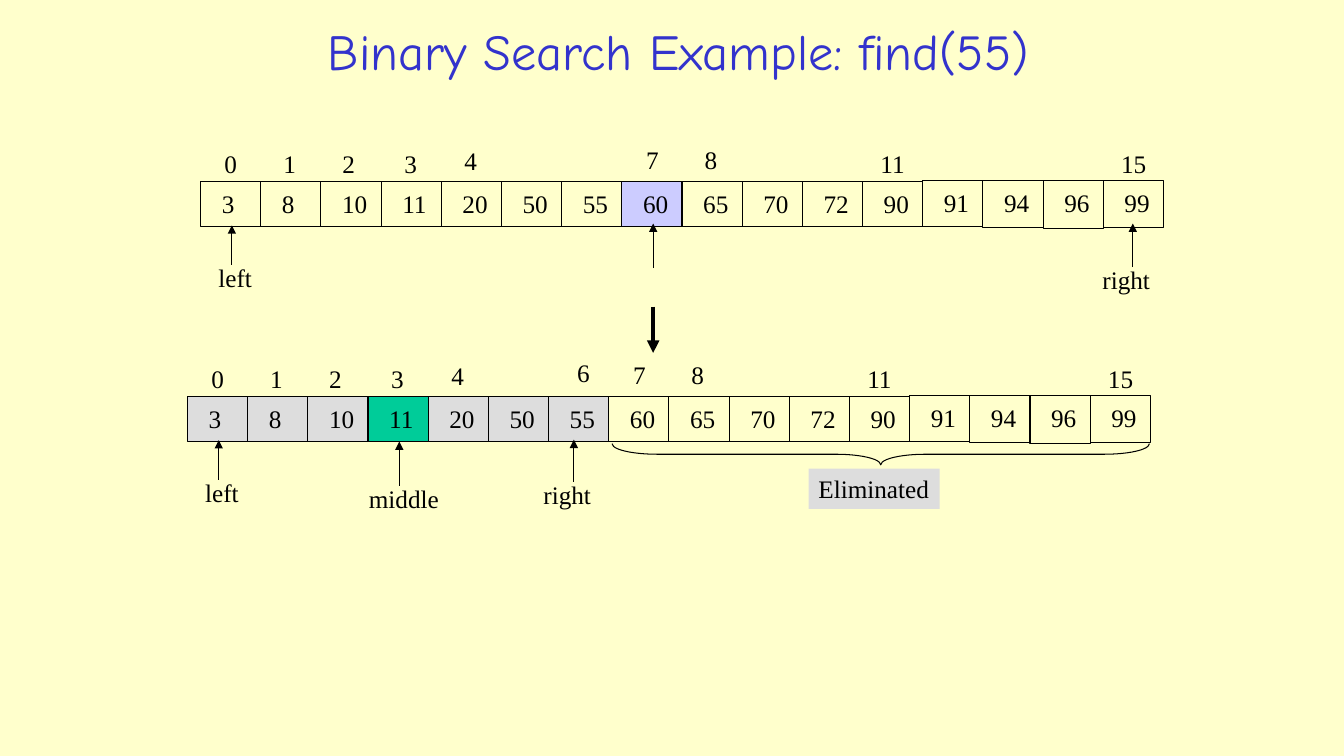
"""Build a slide showing the first halving step of a binary search."""
from typing import NamedTuple, Optional

from lxml import etree
from pptx import Presentation
from pptx.dml.color import RGBColor
from pptx.enum.shapes import MSO_CONNECTOR, MSO_SHAPE
from pptx.enum.text import MSO_ANCHOR, PP_ALIGN
from pptx.oxml.ns import qn
from pptx.util import Emu, Inches, Pt

STRAIGHT = MSO_CONNECTOR.STRAIGHT
RECT, BRACE = MSO_SHAPE.RECTANGLE, MSO_SHAPE.LEFT_BRACE
TOP, MIDDLE = MSO_ANCHOR.TOP, MSO_ANCHOR.MIDDLE
LEFT, CENTER = PP_ALIGN.LEFT, PP_ALIGN.CENTER

COLORS = {"paper": "FFFFCC", "title": "3333CC", "ink": "000000",
          "active": "DDDDDD", "middle": "00CC99", "probe": "CCCCFF"}
TITLE_FONT, BODY_FONT = "Comic Neue", "Times New Roman"
COL, ROW = 9.55 / 16, 0.45
LABEL_H = 0.4
VALUES = [3, 8, 10, 11, 20, 50, 55, 60, 65, 70, 72, 90, 91, 94, 96, 99]
TALL_CELLS = {12: 0.46, 13: 0.47, 14: 0.48, 15: 0.47}


class Index(NamedTuple):
    number: int
    col: float
    row: float


class Pointer(NamedTuple):
    label: str
    col: float
    start: float
    end: float
    label_shift: float = 0
    label_width: float = 0
    weight: float = 0.75


class Array(NamedTuple):
    left: float
    top: float
    fills: dict[int, str]
    indexes: list[Index]
    pointers: list[Pointer]

    def x(self, col: float) -> Emu:
        return Inches(self.left + col * COL)

    def y(self, row: float) -> Emu:
        return Inches(self.top + row * ROW)


INDEXES = [Index(0, 0.23, -0.83), Index(1, 1.21, -0.84), Index(2, 2.19, -0.83),
           Index(3, 3.22, -0.84), Index(4, 4.22, -0.9), Index(7, 7.24, -0.93),
           Index(8, 8.21, -0.93), Index(11, 11.13, -0.84), Index(15, 15.13, -0.83)]
LEFT_POINTER = Pointer("left", 0.52, 1.84, 0.97, -0.39, 0.53)
WHOLE = Array(1.99, 1.8, {7: "probe"}, INDEXES, [
    LEFT_POINTER,
    Pointer("right", 15.49, 1.89, 0.93, -0.67, 0.67),
    Pointer("", 7.52, 1.91, 0.93),
    Pointer("", 7.52, 2.76, 3.78, weight=3)])
HALVED = Array(1.86, 3.93, {**dict.fromkeys(range(7), "active"), 3: "middle"},
               INDEXES + [Index(6, 6.31, -0.97)], [
    LEFT_POINTER,
    Pointer("right", 6.42, 1.89, 0.96, -0.67, 0.67),
    Pointer("middle", 3.52, 1.98, 1, -0.67, 0.9)])


def rgb(name: str) -> RGBColor:
    return RGBColor.from_string(COLORS[name])


def write(tf, text: str, size: float = 18, font: str = BODY_FONT,
          color: str = "ink", align: PP_ALIGN = LEFT) -> None:
    tf.text = text
    p = tf.paragraphs[0]
    p.alignment = align
    r = p.runs[0]
    r.font.size, r.font.name = Pt(size), font
    r.font.color.rgb = rgb(color)


def add_label(slide, text: str, x: Emu, y: Emu, width: float) -> None:
    tf = slide.shapes.add_textbox(x, y, Inches(width), Inches(LABEL_H)).text_frame
    tf.word_wrap = False
    write(tf, text)


def add_box(slide, kind: MSO_SHAPE, x: Emu, y: Emu, width: float, height: float,
            fill: Optional[str], outlined: bool = True):
    sp = slide.shapes.add_shape(kind, x, y, Inches(width), Inches(height))
    sp.shadow.inherit = False
    if fill:
        sp.fill.solid()
        sp.fill.fore_color.rgb = rgb(fill)
    else:
        sp.fill.background()
    if outlined:
        sp.line.color.rgb = rgb("ink")
        sp.line.width = Pt(0.75)
    else:
        sp.line.fill.background()
    return sp


def add_arrow(slide, array: Array, pointer: Pointer) -> None:
    x = array.x(pointer.col)
    line = slide.shapes.add_connector(STRAIGHT, x, array.y(pointer.start),
                                      x, array.y(pointer.end))
    line.line.color.rgb = rgb("ink")
    line.line.width = Pt(pointer.weight)
    etree.SubElement(line.line._get_or_add_ln(), qn("a:tailEnd"), type="triangle")
    etree.SubElement(line._element.spPr, qn("a:effectLst"))


def add_array(slide, array: Array) -> None:
    for i, value in enumerate(VALUES):
        rise = -0.02 if i in TALL_CELLS else 0
        sp = add_box(slide, RECT, array.x(i), array.y(rise), COL,
                     TALL_CELLS.get(i, ROW), array.fills.get(i))
        tf = sp.text_frame
        tf.vertical_anchor = TOP
        tf.margin_left, tf.margin_top = Inches(0.21), Inches(0.07)
        tf.margin_right = tf.margin_bottom = 0
        write(tf, str(value))
    for index in array.indexes:
        text = str(index.number)
        add_label(slide, text, array.x(index.col), array.y(index.row),
                  0.2 + 0.125 * len(text))
    for pointer in array.pointers:
        add_arrow(slide, array, pointer)
        if pointer.label:
            add_label(slide, pointer.label, array.x(pointer.col + pointer.label_shift),
                      array.y(pointer.start - 0.17), pointer.label_width)


def add_eliminated(slide, array: Array) -> None:
    depth, span = 0.21, 5.33
    brace = add_box(slide, BRACE, array.x(11.52) - Inches(depth / 2),
                    array.y(1.28) - Inches(span / 2), depth, span, None)
    brace.rotation = 270
    brace.adjustments[0], brace.adjustments[1] = 2.11, 0.5
    sp = add_box(slide, RECT, array.x(10.32), array.y(1.6), 1.3, LABEL_H,
                 "active", outlined=False)
    sp.text_frame.word_wrap = False
    sp.text_frame.vertical_anchor = TOP
    write(sp.text_frame, "Eliminated")


def main() -> None:
    prs = Presentation()
    prs.slide_width, prs.slide_height = Inches(13.33), Inches(7.5)
    slide = prs.slides.add_slide(prs.slide_layouts[5])
    slide.background.fill.solid()
    slide.background.fill.fore_color.rgb = rgb("paper")
    title = slide.shapes.title
    title.left, title.top = Inches(2.25), Inches(0.16)
    title.width, title.height = Inches(8.96), Inches(0.67)
    title.text_frame.vertical_anchor = MIDDLE
    write(title.text_frame, "Binary Search Example: find(55)", 36, TITLE_FONT,
          "title", CENTER)
    for array in (WHOLE, HALVED):
        add_array(slide, array)
    add_eliminated(slide, HALVED)
    prs.save("out.pptx")


if __name__ == "__main__":
    main()
